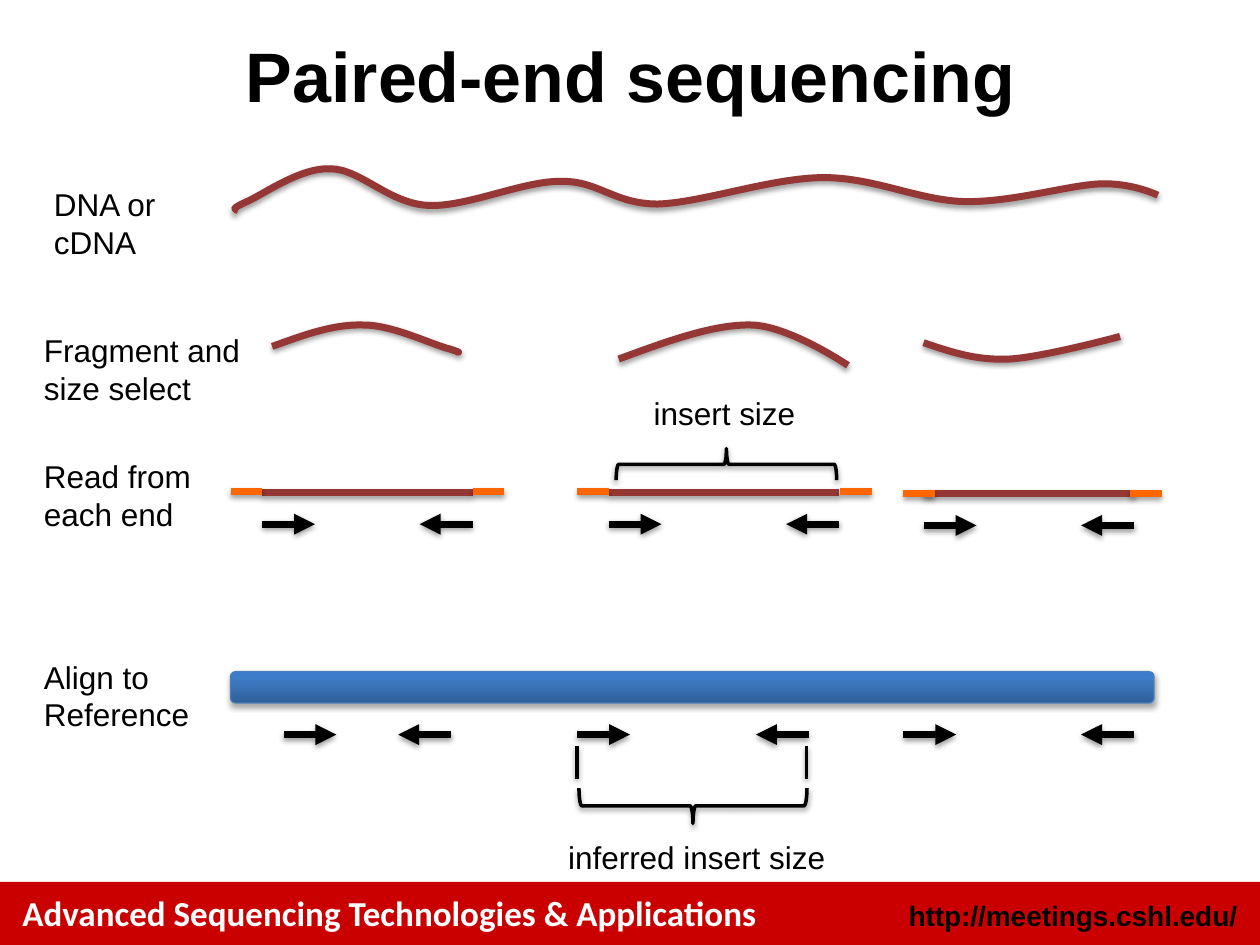
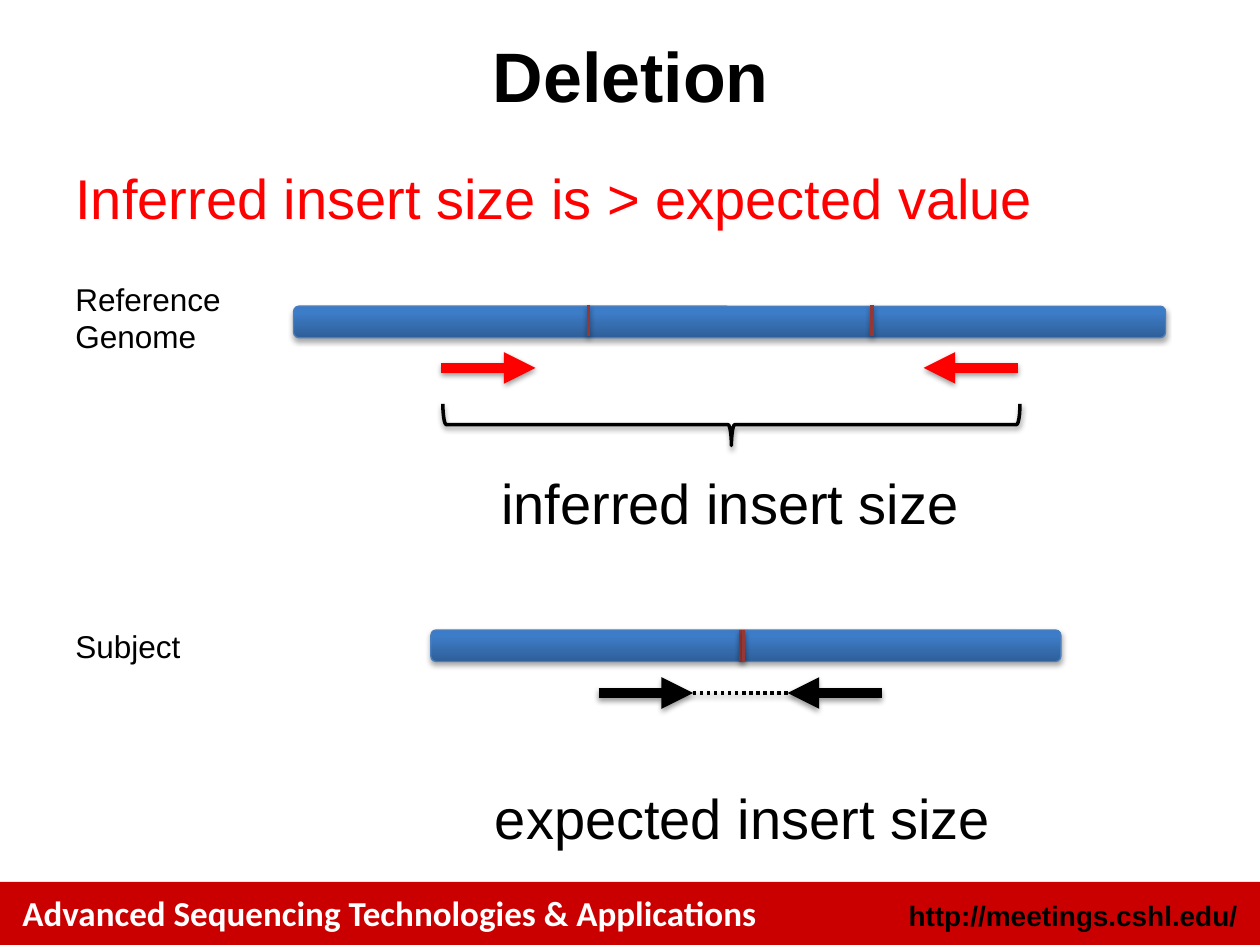
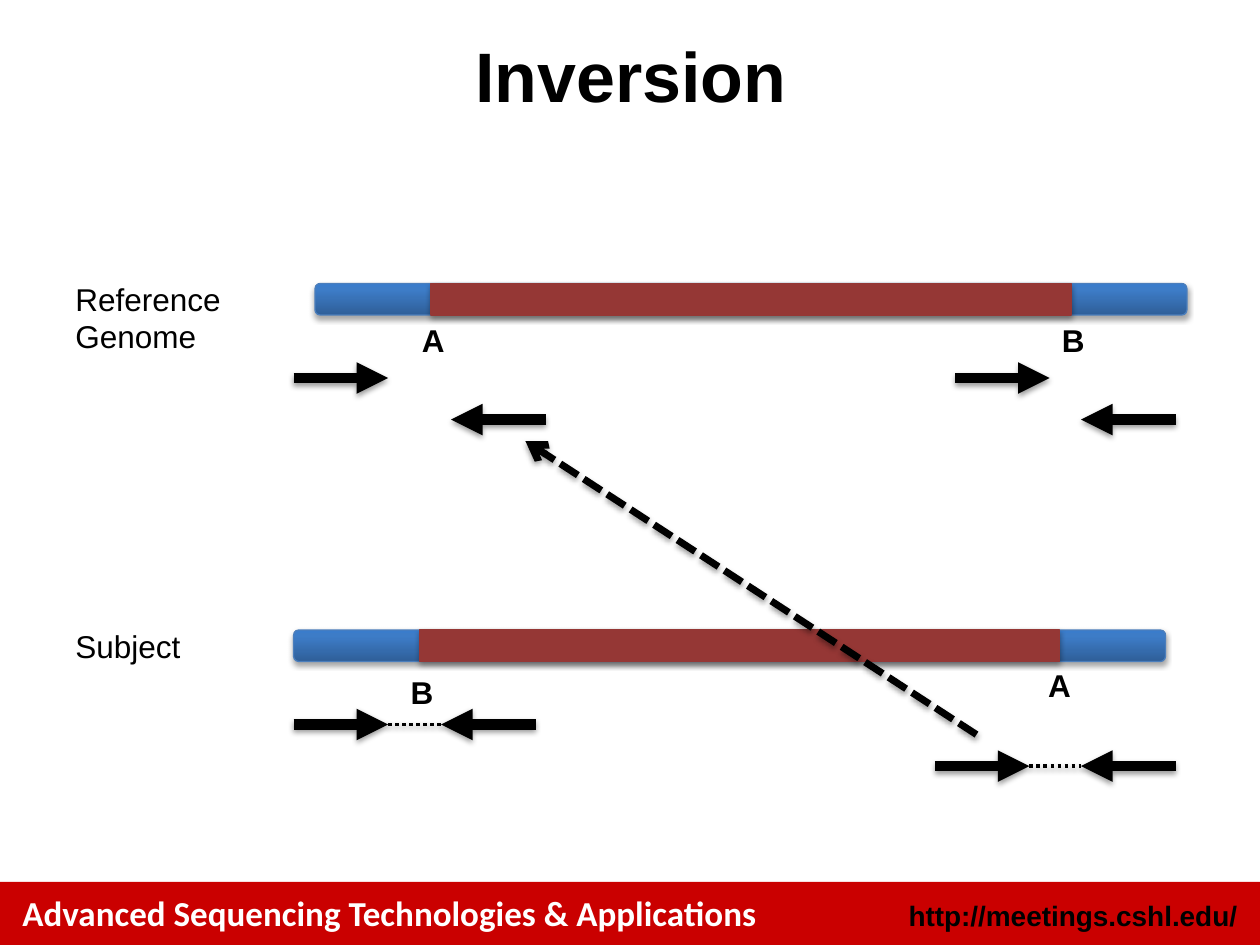
from copy import deepcopy

from lxml import etree
from pptx import Presentation
from pptx.dml.color import RGBColor
from pptx.enum import dml, shapes, text
from pptx.oxml import ns
from pptx.util import Inches, Pt

BLACK = RGBColor(0x00, 0x00, 0x00)
WHITE = RGBColor(0xFF, 0xFF, 0xFF)
RED = RGBColor(0xFF, 0x00, 0x00)
BAND_RED = RGBColor(0xCA, 0x00, 0x00)
MAROON = RGBColor(0x95, 0x37, 0x35)
ORANGE = RGBColor(0xFF, 0x66, 0x00)
BAR_DARK = RGBColor(0x2F, 0x5F, 0x99)
BAR_LIGHT = RGBColor(0x3D, 0x7C, 0xC7)
BAR_TOP = RGBColor(0x3A, 0x7C, 0xCB)
BAR_EDGE = RGBColor(0x4B, 0x7E, 0xBC)
DOTS = dml.MSO_LINE.ROUND_DOT
DASHES = dml.MSO_LINE.SQUARE_DOT
LEFT, CENTER, RIGHT = text.PP_ALIGN.LEFT, text.PP_ALIGN.CENTER, text.PP_ALIGN.RIGHT
GROW, FIXED = text.MSO_AUTO_SIZE.SHAPE_TO_FIT_TEXT, text.MSO_AUTO_SIZE.NONE
BAR_HEIGHT = 0.25


def add_text(slide, words, left, top, width, height, size=18, bold=False, color=BLACK,
             align=LEFT, wrap=True, font="Arial", anchor=text.MSO_ANCHOR.TOP, fit=GROW):
    box = slide.shapes.add_textbox(Inches(left), Inches(top), Inches(width), Inches(height))
    box.text_frame.word_wrap = wrap
    box.text_frame.auto_size = fit
    box.text_frame.vertical_anchor = anchor
    paragraph = box.text_frame.paragraphs[0]
    paragraph.alignment = align
    run = paragraph.add_run()
    run.text = words
    run.font.name = font
    run.font.size = Pt(size)
    run.font.bold = bold
    run.font.color.rgb = color


def style_outline(shape, color, width, dash=None, head=None, distance=20000, opacity=38000):
    shape.line.color.rgb = color
    shape.line.width = Pt(width)
    if dash:
        shape.line.dash_style = dash
    if head:
        etree.SubElement(shape.line._get_or_add_ln(), ns.qn("a:tailEnd"), type=head)
    effects = etree.SubElement(shape._element.spPr, ns.qn("a:effectLst"))
    shadow = etree.SubElement(effects, ns.qn("a:outerShdw"), blurRad="40000",
                              dist=str(distance), dir="5400000", rotWithShape="0")
    shade = etree.SubElement(shadow, ns.qn("a:srgbClr"), val="000000")
    etree.SubElement(shade, ns.qn("a:alpha"), val=str(opacity))


dna_curves = [
    [(1.89, 1.67), (1.86, 1.66), (1.83, 1.66), (1.96, 1.6), (2.08, 1.55), (2.38, 1.33),
     (2.62, 1.34), (2.86, 1.34), (3.08, 1.61), (3.39, 1.63), (3.69, 1.65), (4.14, 1.44),
     (4.44, 1.44), (4.75, 1.43), (4.87, 1.62), (5.22, 1.62), (5.57, 1.61), (6.13, 1.41),
     (6.54, 1.41), (6.94, 1.41), (7.29, 1.59), (7.65, 1.6), (8.02, 1.61), (8.48, 1.47),
     (8.73, 1.46), (8.99, 1.45), (9.19, 1.55), (9.19, 1.55)],
    [(2.16, 2.75), (2.41, 2.66), (2.65, 2.57), (2.89, 2.58), (3.12, 2.58), (3.44, 2.74),
     (3.57, 2.77), (3.69, 2.81), (3.62, 2.79), (3.62, 2.79)],
    [(7.33, 2.72), (7.54, 2.79), (7.74, 2.86), (8, 2.85), (8.26, 2.84), (8.89, 2.67),
     (8.89, 2.67)],
    [(4.91, 2.85), (5.29, 2.71), (5.67, 2.57), (5.97, 2.58), (6.27, 2.59), (6.73, 2.9),
     (6.73, 2.9)],
]

paired_lines = []
for start, end, y, adapter_y, left_adapter, right_adapter in [
        (2.08, 3.75, 3.91, 3.9, 1.83, 3.75), (4.83, 6.66, 3.91, 3.9, 4.58, 6.67),
        (7.33, 9, 3.92, 3.92, 7.17, 8.97)]:
    paired_lines.append((start, y, end, y, MAROON, 4, None, None))
    for adapter in (left_adapter, right_adapter):
        paired_lines.append((adapter, adapter_y, adapter + 0.25, adapter_y,
                             ORANGE, 4, None, None))
    for tip, read in ((start, 0.42), (end, -0.42)):
        paired_lines.append((tip, y + 0.25, tip + read, y + 0.25, BLACK, 4, None, "triangle"))
for start, end in [(2.25, 3.58), (4.58, 6.42), (7.17, 9)]:
    for tip, read in ((start, 0.42), (end, -0.42)):
        paired_lines.append((tip, 5.83, tip + read, 5.83, BLACK, 4, None, "triangle"))
for x in (4.58, 6.4):
    paired_lines.append((x, 5.92, x, 6.18, BLACK, 2, None, None))

deletion_lines = [(x, y, x, y + BAR_HEIGHT, MAROON, 2, None, None)
                  for x, y in [(4.67, 2.42), (6.92, 2.42), (5.88, 5), (5.9, 5)]]
deletion_lines.append((5.33, 5.5, 6.33, 5.5, BLACK, 2, DOTS, None))
for start, end, y, color in [(4.75, 7, 5.5, BLACK), (3.5, 8.08, 2.92, RED)]:
    for tip, read in ((start, 0.75), (end, -0.75)):
        deletion_lines.append((tip, y, tip + read, y, color, 6, None, "triangle"))

inversion_lines = [(tip, y, tip + read, y, BLACK, 6, None, "triangle")
                   for tip, y, read in [
                       (2.33, 5.75, 0.75), (4.25, 5.75, -0.75), (2.33, 3, 0.75),
                       (7.58, 3, 0.75), (7.42, 6.08, 0.75), (9.33, 6.08, -0.75),
                       (9.33, 3.33, -0.75), (4.33, 3.33, -0.75)]]
inversion_lines += [
    (3.08, 5.75, 3.5, 5.75, BLACK, 2, DOTS, None),
    (8.17, 6.08, 8.58, 6.08, BLACK, 2, DOTS, None),
    (7.75, 5.83, 4.17, 3.5, BLACK, 4, DASHES, "arrow"),
]

label = {}
centered = {"align": CENTER, "wrap": False}
large = {"size": 32, "wrap": False}
marker = {"bold": True, "wrap": False}
reference_label = ("Reference Genome", 0.5, 2.17, 1.42, 0.71, label)
subject_label = ("Subject", 0.5, 4.93, 1.42, 0.4, label)

slides = [
    {"title": "Paired-end sequencing", "curves": dna_curves,
     "bars": [(1.83, 5.33, 7.33)], "inverted": [], "lines": paired_lines,
     "braces": [(5.64, 2.81, 0.25, 1.75, 90), (5.36, 5.49, 0.28, 1.81, 270)],
     "labels": [
         ("DNA or cDNA", 0.33, 1.42, 1.25, 0.71, label),
         ("Fragment and size select", 0.25, 2.58, 1.76, 0.71, label),
         ("Read from each end", 0.25, 3.58, 1.42, 0.71, label),
         ("Align to Reference", 0.25, 5.17, 1.43, 0.71, label),
         ("insert size", 5.08, 3.08, 1.34, 0.4, centered),
         ("inferred insert size", 4.4, 6.6, 2.26, 0.4, centered)]},
    {"title": "Deletion", "curves": [],
     "bars": [(2.33, 2.43, 6.92), (3.42, 5, 5)], "inverted": [], "lines": deletion_lines,
     "braces": [(5.64, 1.08, 0.33, 4.58, 270)],
     "labels": [
         ("Inferred insert size is > expected value", 0.5, 1.25, 8.58, 0.64,
          {"size": 32, "color": RED}),
         reference_label, subject_label,
         ("inferred insert size", 3.88, 3.67, 3.87, 0.64, large),
         ("expected insert size", 3.83, 6.17, 4.17, 0.64, large)]},
    {"title": "Inversion", "curves": [],
     "bars": [(2.5, 2.25, 6.92), (2.33, 5, 6.92)],
     "inverted": [(3.42, 2.25, 5.08), (3.33, 5, 5.08)],
     "lines": inversion_lines, "braces": [],
     "labels": [
         reference_label, subject_label,
         ("A", 3.25, 2.5, 0.38, 0.4, marker), ("B", 8.33, 2.5, 0.38, 0.4, marker),
         ("B", 3.16, 5.29, 0.38, 0.4, marker), ("A", 8.22, 5.24, 0.38, 0.4, marker)]},
]

presentation = Presentation()
presentation.slide_width = Inches(10)
presentation.slide_height = Inches(7.5)

for content in slides:
    slide = presentation.slides.add_slide(presentation.slide_layouts[6])
    band = slide.shapes.add_shape(shapes.MSO_SHAPE.RECTANGLE, 0, Inches(7), Inches(10), Inches(0.5))
    band.shadow.inherit = False
    band.fill.solid()
    band.fill.fore_color.rgb = BAND_RED
    band.line.fill.background()
    add_text(slide, "Advanced Sequencing Technologies & Applications", 0.08, 7.03, 7.33, 0.43,
             size=20, bold=True, color=WHITE, font="Calibri")
    add_text(slide, "http://meetings.cshl.edu/", 6.75, 7.08, 3.17, 0.37,
             size=16, bold=True, align=RIGHT)
    add_text(slide, content["title"], 0.17, -0.03, 9.67, 1.25, size=40, bold=True,
             align=CENTER, anchor=text.MSO_ANCHOR.MIDDLE, fit=FIXED)

    for controls in content["curves"]:
        points = [(Inches(x), Inches(y)) for x, y in controls]
        builder = slide.shapes.build_freeform(*points[0])
        builder.add_line_segments(points[1:], close=False)
        strand = builder.convert_to_shape()
        outline = strand._element.spPr.find(".//" + ns.qn("a:path"))
        segments = outline.findall(ns.qn("a:lnTo"))
        for first in range(0, len(segments), 3):
            curve = etree.SubElement(outline, ns.qn("a:cubicBezTo"))
            for segment in segments[first:first + 3]:
                curve.append(segment[0])
                outline.remove(segment)
        strand.fill.background()
        style_outline(strand, MAROON, 4)

    for left, top, width in content["bars"]:
        bar = slide.shapes.add_shape(shapes.MSO_SHAPE.ROUNDED_RECTANGLE, Inches(left),
                                     Inches(top), Inches(width), Inches(BAR_HEIGHT))
        bar.fill.gradient()
        bar.fill.gradient_angle = 90
        stop_list = bar._element.spPr.find(".//" + ns.qn("a:gsLst"))
        stop_list.append(deepcopy(stop_list[-1]))
        for stop, color, position in zip(bar.fill.gradient_stops,
                                         (BAR_DARK, BAR_LIGHT, BAR_TOP), (0, 0.8, 1)):
            stop.color.rgb = color
            stop.position = position
        style_outline(bar, BAR_EDGE, 0.75, distance=23000, opacity=35000)

    for left, top, width in content["inverted"]:
        inverted = slide.shapes.add_shape(shapes.MSO_SHAPE.RECTANGLE, Inches(left),
                                          Inches(top), Inches(width), Inches(BAR_HEIGHT))
        inverted.fill.solid()
        inverted.fill.fore_color.rgb = MAROON
        style_outline(inverted, MAROON, 0.75, distance=23000, opacity=35000)

    for start_x, start_y, end_x, end_y, color, width, dash, head in content["lines"]:
        line = slide.shapes.add_connector(shapes.MSO_CONNECTOR.STRAIGHT, Inches(start_x),
                                          Inches(start_y), Inches(end_x), Inches(end_y))
        style_outline(line, color, width, dash, head)

    for left, top, width, height, rotation in content["braces"]:
        brace = slide.shapes.add_shape(shapes.MSO_SHAPE.LEFT_BRACE, Inches(left), Inches(top),
                                       Inches(width), Inches(height))
        brace.rotation = rotation
        brace.fill.background()
        style_outline(brace, BLACK, 2)

    for words, left, top, width, height, options in content["labels"]:
        add_text(slide, words, left, top, width, height, **options)

presentation.save("out.pptx")
